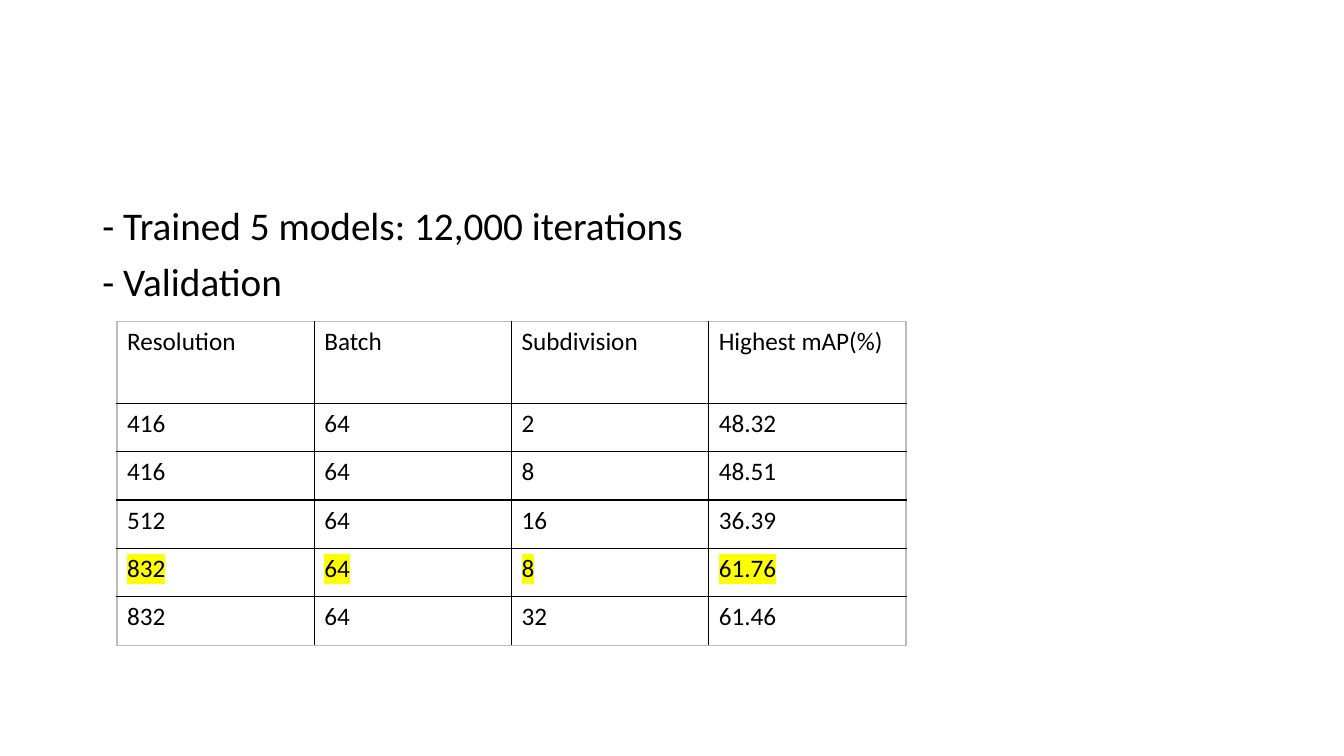
import pptx
import pptx.dml.color
import pptx.oxml
import pptx.oxml.ns
import pptx.util
from pptx.dml.color import RGBColor
from pptx.util import Cm

BLACK = RGBColor(0x00, 0x00, 0x00)
YELLOW = RGBColor(0xFF, 0xFF, 0x00)
TABLE_GRID_STYLE = "{5940675A-B579-460E-94D1-54222C63F5DA}"
BEST_ROW = 4

HEADERS = ["Resolution", "Batch", "Subdivision", "Highest mAP(%)"]
RESULTS = [
    ["416", "64", "2", "48.32"],
    ["416", "64", "8", "48.51"],
    ["512", "64", "16", "36.39"],
    ["832", "64", "8", "61.76"],
    ["832", "64", "32", "61.46"],
]


def write_text(paragraph, text, size=18, highlight=None):
    run = paragraph.add_run()
    run.text = text
    run.font.size = pptx.util.Pt(size)
    run.font.color.rgb = BLACK
    if highlight is not None:
        properties = run.font.fill._xPr
        marker = pptx.oxml.parse_xml(
            f'<a:highlight {pptx.oxml.ns.nsdecls("a")}>'
            f'<a:srgbClr val="{highlight}"/></a:highlight>'
        )
        properties.append(marker)
    run.font.name = "Calibri"


presentation = pptx.Presentation()
presentation.slide_width = Cm(33.87)
presentation.slide_height = Cm(19.05)
slide = presentation.slides.add_slide(presentation.slide_layouts[6])

body = slide.shapes.add_textbox(Cm(2.33), Cm(5.07), Cm(29.21), Cm(12.09))
body.text_frame.word_wrap = True
for index, line in enumerate(["- Trained 5 models: 12,000 iterations", "- Validation"]):
    paragraph = body.text_frame.paragraphs[0] if index == 0 else body.text_frame.add_paragraph()
    paragraph.line_spacing = 0.9
    paragraph.space_before = pptx.util.Pt(10)
    write_text(paragraph, line, size=28)

rows = [HEADERS] + RESULTS
table_frame = slide.shapes.add_table(
    len(rows), len(HEADERS), Cm(2.95), Cm(8.1), Cm(19.88), Cm(8.16)
)
table = table_frame.table
table.first_row = False
table.horz_banding = False
style = table._tbl.tblPr.find(pptx.oxml.ns.qn("a:tableStyleId"))
style.text = TABLE_GRID_STYLE

for column in table.columns:
    column.width = Cm(4.97)
for row_index, values in enumerate(rows):
    table.rows[row_index].height = Cm(2.06 if row_index == 0 else 1.22)
    for column_index, value in enumerate(values):
        cell = table.cell(row_index, column_index)
        cell.fill.background()
        write_text(
            cell.text_frame.paragraphs[0],
            value,
            highlight=YELLOW if row_index == BEST_ROW else None,
        )

presentation.save("out.pptx")
